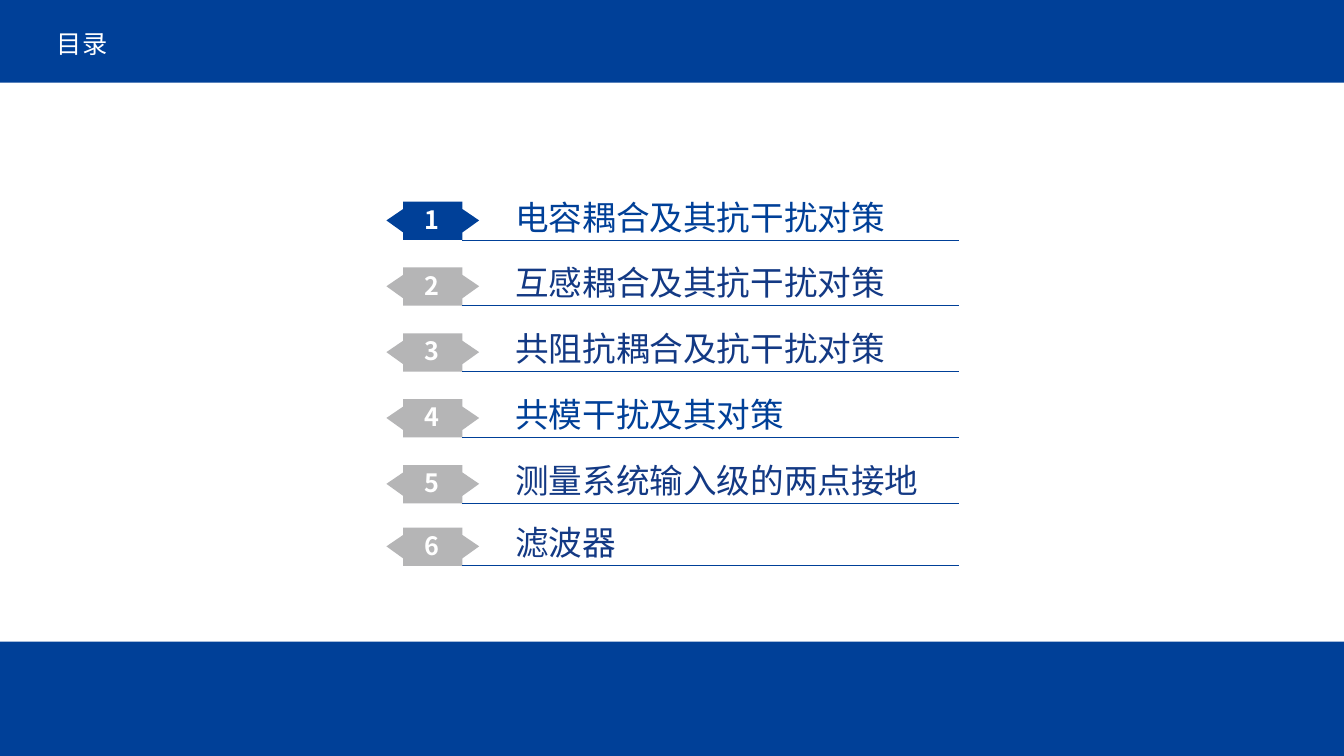
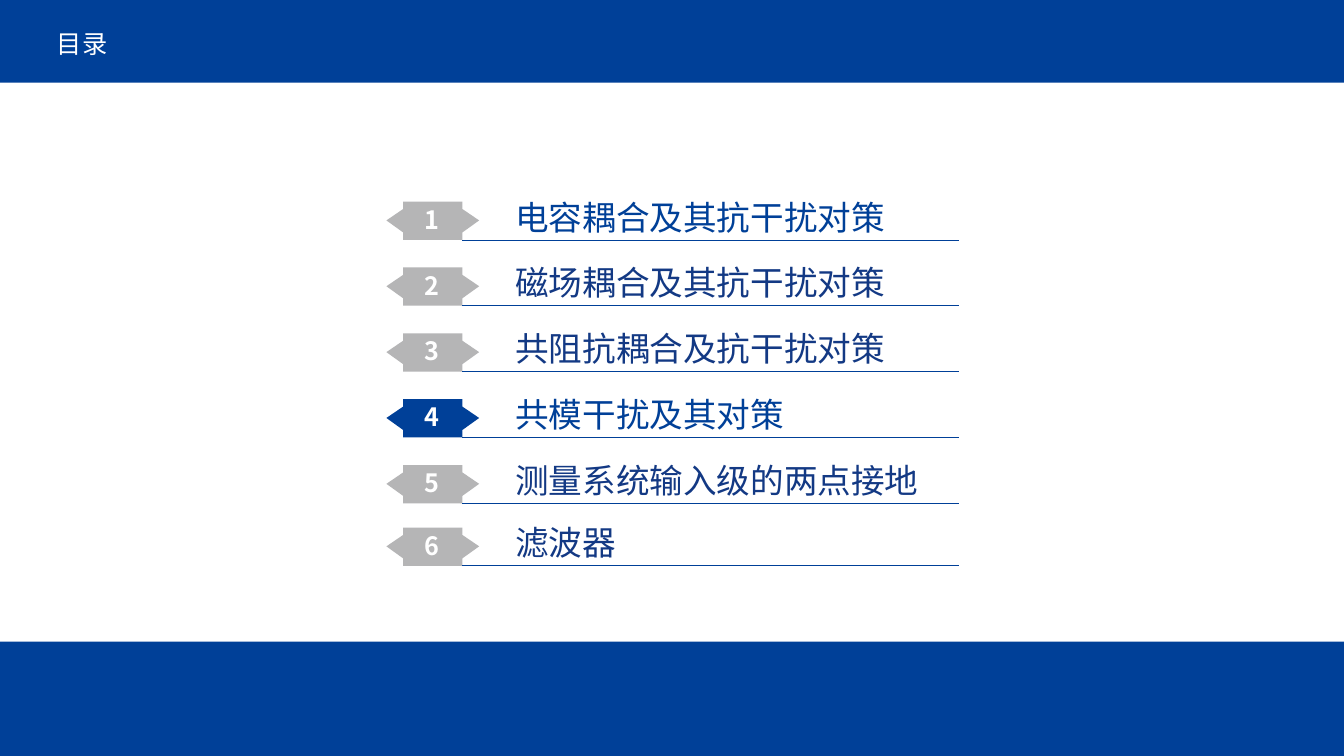
from lxml.etree import SubElement
from pptx import Presentation
from pptx.dml.color import RGBColor
from pptx.enum.shapes import MSO_CONNECTOR, MSO_SHAPE
from pptx.enum.text import MSO_ANCHOR, MSO_AUTO_SIZE, PP_ALIGN
from pptx.oxml.ns import qn
from pptx.util import Pt

EMU_PER_PX = 6096
SLIDE_W, SLIDE_H = 2000, 1125
HEADER_H, FOOTER_H = 123, 170

BLUE = RGBColor(0x00, 0x40, 0x98)
NAVY = RGBColor(0x13, 0x39, 0x84)
GRAY = RGBColor(0xB5, 0xB5, 0xB6)
WHITE = RGBColor(0xFF, 0xFF, 0xFF)
CJK_FONT = "Noto Sans CJK SC"

ROW_TOPS = [300 + 98 * row for row in range(5)] + [785]
BADGE_H = 57
BADGE_LEFT, BODY_LEFT, BODY_RIGHT, BADGE_RIGHT = 575, 600, 688, 713
RULE_RIGHT = 1427

KARLA_BLUE = ("Karla", BLUE)
ARIAL_NAVY = ("Arial", NAVY)
ENTRY_STYLES = [KARLA_BLUE, ARIAL_NAVY, ARIAL_NAVY, KARLA_BLUE, ARIAL_NAVY, ARIAL_NAVY]


def px(length):
    """Turn a length in px into EMU."""
    return length * EMU_PER_PX


def add_band(slide, top, height):
    """Draw a full-width blue band."""
    band = slide.shapes.add_shape(MSO_SHAPE.RECTANGLE, 0, px(top), px(SLIDE_W), px(height))
    band.shadow.inherit = False
    band.fill.solid()
    band.fill.fore_color.rgb = BLUE
    band.line.fill.background()


def add_text(shapes, text, box, size, font_name, color, bold=False):
    """Add a one-paragraph text box and return its frame."""
    frame = shapes.add_textbox(*map(px, box)).text_frame
    frame.word_wrap = True
    paragraph = frame.paragraphs[0]
    paragraph.text = text
    font = paragraph.font
    font.size, font.name, font.bold = Pt(size), font_name, bold
    font.color.rgb = color
    defaults = paragraph._p.get_or_add_pPr().find(qn("a:defRPr"))
    SubElement(defaults, qn("a:ea")).set("typeface", CJK_FONT)
    return frame


def add_badge(shapes, top, color):
    """Draw the two-pointed number badge."""
    shoulder, middle, hip, bottom = top + 11, top + 28, top + 46, top + BADGE_H
    outline = [
        (BODY_LEFT, top), (BODY_LEFT, shoulder), (BADGE_LEFT, middle),
        (BODY_LEFT, hip), (BODY_LEFT, bottom), (BODY_RIGHT, bottom),
        (BODY_RIGHT, hip), (BADGE_RIGHT, middle), (BODY_RIGHT, shoulder),
    ]
    builder = shapes.build_freeform(px(BODY_RIGHT), px(top))
    builder.add_line_segments([(px(x), px(y)) for x, y in outline], close=True)
    badge = builder.convert_to_shape()
    badge.shadow.inherit = False
    badge.fill.solid()
    badge.fill.fore_color.rgb = color
    badge.line.fill.background()


def add_rule(shapes, y):
    """Draw the thin line under an entry."""
    rule = shapes.add_connector(
        MSO_CONNECTOR.STRAIGHT, px(BODY_RIGHT), px(y), px(RULE_RIGHT), px(y))
    rule.line.color.rgb = BLUE
    rule.line.width = Pt(0.5)
    SubElement(rule._element.spPr, qn("a:effectLst"))


def add_entry(slide, number, heading, top, style, is_current):
    """Add one grouped entry of the contents list."""
    shapes = slide.shapes.add_group_shape().shapes
    add_badge(shapes, top, BLUE if is_current else GRAY)
    number_frame = add_text(
        shapes, str(number), (612, top - 10, 63, 72), 18, CJK_FONT, WHITE, bold=True)
    number_frame.word_wrap = False
    number_frame.vertical_anchor = MSO_ANCHOR.MIDDLE
    number_frame.paragraphs[0].alignment = PP_ALIGN.CENTER
    add_rule(shapes, top + BADGE_H)
    heading_frame = add_text(shapes, heading, (752, top - 15, 720, 75), 24, *style)
    heading_frame.auto_size = MSO_AUTO_SIZE.SHAPE_TO_FIT_TEXT


def add_contents_slide(deck, headings, current):
    """Add a contents slide with the current entry highlighted."""
    slide = deck.slides.add_slide(deck.slide_layouts[6])
    add_band(slide, SLIDE_H - FOOTER_H, FOOTER_H)
    add_band(slide, 0, HEADER_H)
    title_frame = add_text(slide.shapes, "目录", (70, 39, 1416, 56), 18, "Times New Roman", WHITE)
    title_frame.vertical_anchor = MSO_ANCHOR.MIDDLE
    title_frame.paragraphs[0].line_spacing = 0.9
    entries = zip(headings, ROW_TOPS, ENTRY_STYLES)
    for number, (heading, top, style) in enumerate(entries, start=1):
        add_entry(slide, number, heading, top, style, number == current)


def main():
    """Build and save the deck."""
    deck = Presentation()
    deck.slide_width, deck.slide_height = px(SLIDE_W), px(SLIDE_H)
    for second_heading, current in (("互感耦合及其抗干扰对策", 1), ("磁场耦合及其抗干扰对策", 4)):
        headings = [
            "电容耦合及其抗干扰对策",
            second_heading,
            "共阻抗耦合及抗干扰对策",
            "共模干扰及其对策",
            "测量系统输入级的两点接地",
            "滤波器",
        ]
        add_contents_slide(deck, headings, current)
    deck.save("out.pptx")


if __name__ == "__main__":
    main()
